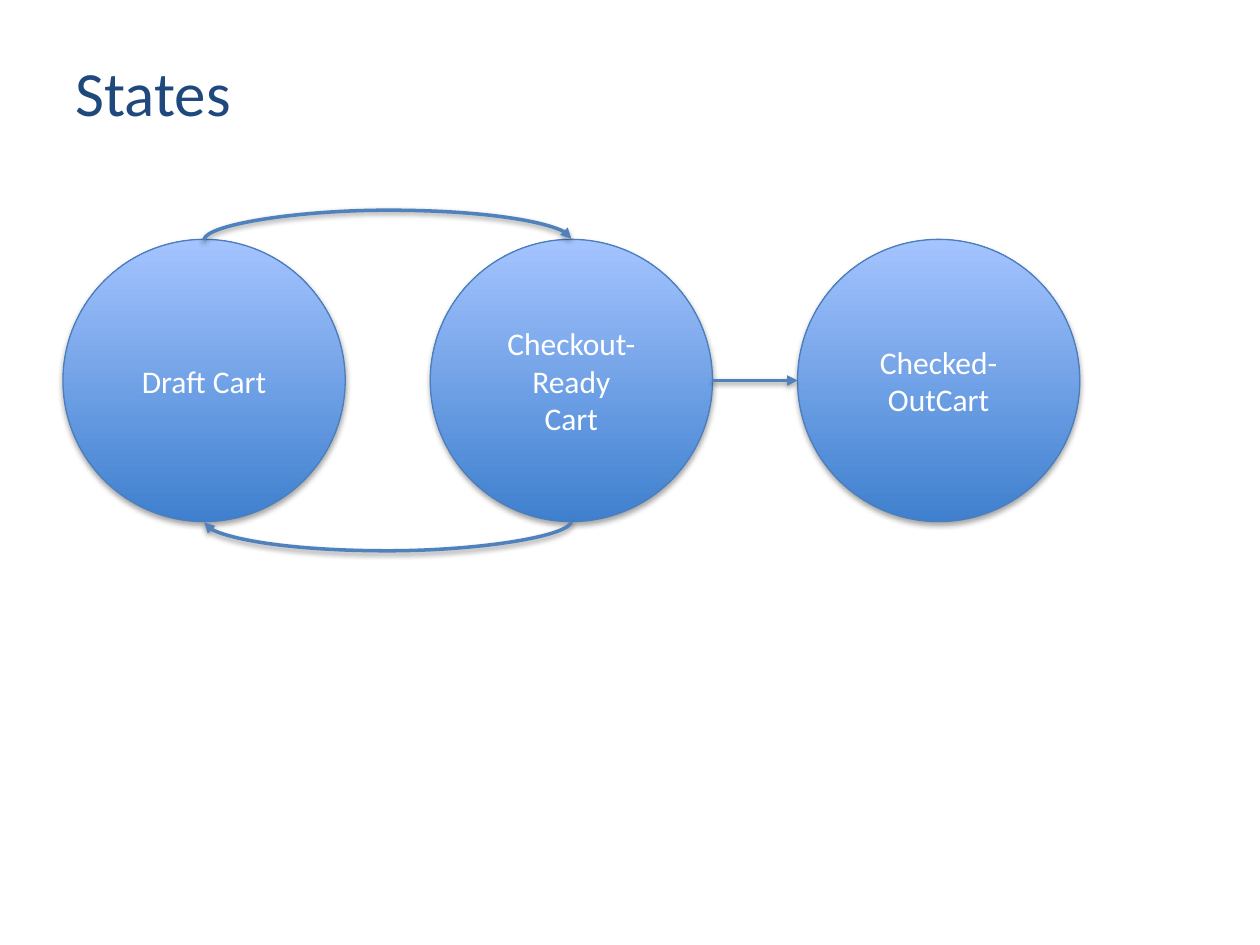
import pptx
import pptx.dml.color
import pptx.enum.shapes
import pptx.enum.text
import pptx.oxml
import pptx.oxml.ns
import pptx.util
from lxml import etree

Inches = pptx.util.Inches
Pt = pptx.util.Pt
RGBColor = pptx.dml.color.RGBColor
Kind = pptx.enum.shapes.MSO_CONNECTOR
qn = pptx.oxml.ns.qn

NAVY = RGBColor(0x1F, 0x49, 0x7D)
DEEP = RGBColor(0x3F, 0x80, 0xCE)
PALE = RGBColor(0xA4, 0xC4, 0xFF)
EDGE = RGBColor(0x4B, 0x7E, 0xBC)
BLUE = RGBColor(0x4F, 0x81, 0xBD)
WHITE = RGBColor(0xFF, 0xFF, 0xFF)

FONT = "Calibri"
STATES = [["Draft Cart"], ["Checkout-Ready", "Cart"], ["Checked-OutCart"]]
LEFT, TOP, SIZE, STEP = 0.5, 1.9, 2.24, 2.915
THIN, BEND = 0.01, 24
NORTH, WEST, SOUTH, EAST = 0, 2, 4, 6


def add_run(para, text, size, color):
    """Add one styled run to a paragraph."""
    run = para.add_run()
    run.text = text
    run.font.name = FONT
    run.font.size = Pt(size)
    run.font.color.rgb = color


def add_shade(shape, drop, alpha):
    """Give a shape a soft shadow straight below it."""
    props = shape._element.spPr
    for old in props.findall(qn("a:effectLst")):
        props.remove(old)
    props.append(pptx.oxml.parse_xml(
        f'<a:effectLst {pptx.oxml.ns.nsdecls("a")}>'
        f'<a:outerShdw blurRad="{Pt(3.1)}" dist="{Pt(drop)}" dir="5400000" rotWithShape="0">'
        f'<a:srgbClr val="000000"><a:alpha val="{alpha * 1000}"/></a:srgbClr>'
        '</a:outerShdw></a:effectLst>'))


def add_title(slide, left, top, width, height):
    """Place and style the slide title."""
    title = slide.shapes.title
    title.left, title.top = Inches(left), Inches(top)
    title.width, title.height = Inches(width), Inches(height)
    title.text_frame.vertical_anchor = pptx.enum.text.MSO_ANCHOR.MIDDLE
    para = title.text_frame.paragraphs[0]
    para.alignment = pptx.enum.text.PP_ALIGN.LEFT
    add_run(para, "States", 36, NAVY)


def add_state(slide, left, top, size, lines):
    """Draw one state as a shaded circle with a label."""
    state = slide.shapes.add_shape(
        pptx.enum.shapes.MSO_SHAPE.OVAL,
        Inches(left), Inches(top), Inches(size), Inches(size))
    state.fill.gradient()
    state.fill.gradient_angle = 90
    for stop, color in zip(state.fill.gradient_stops, (DEEP, PALE)):
        stop.color.rgb = color
    state.line.color.rgb = EDGE
    state.line.width = Pt(0.75)
    add_shade(state, 1.8, 35)
    frame = state.text_frame
    frame.word_wrap = True
    frame.vertical_anchor = pptx.enum.text.MSO_ANCHOR.MIDDLE
    para = frame.paragraphs[0]
    para.alignment = pptx.enum.text.PP_ALIGN.CENTER
    for row, line in enumerate(lines):
        if row:
            para.add_line_break()
        add_run(para, line, 18, WHITE)
    return state


def add_link(slide, kind, start, end, ties):
    """Draw an arrow from start to end, tied to sites on two states."""
    link = slide.shapes.add_connector(kind, *map(Inches, start + end))
    link.line.color.rgb = BLUE
    link.line.width = Pt(2)
    etree.SubElement(link.line._get_or_add_ln(), qn("a:tailEnd"), type="triangle")
    add_shade(link, 1.6, 38)
    joins = link._element.xpath("./p:nvCxnSpPr/p:cNvCxnSpPr")[0]
    for tag, (state, site) in zip(("a:stCxn", "a:endCxn"), ties):
        etree.SubElement(joins, qn(tag), id=str(state.shape_id), idx=str(site))
    return link


def add_arc(slide, mid, level, span, way, ties):
    """Draw a bowed arrow about a middle point; way is 1 for left, -1 for right."""
    dx, dy = way * THIN / 2, way * span / 2
    link = add_link(slide, Kind.CURVE, (mid - dx, level - dy), (mid + dx, level + dy), ties)
    link._element.spPr.find(qn("a:xfrm")).set("rot", "5400000")
    guides = link._element.xpath("./p:spPr/a:prstGeom/a:avLst")[0]
    etree.SubElement(guides, qn("a:gd"), name="adj1", fmla=f"val {BEND * 100000}")


def add_flow(slide, left, top, size, step):
    """Lay out the states in a row and link them."""
    draft, ready, done = [
        add_state(slide, left + i * step, top, size, lines)
        for i, lines in enumerate(STATES)]
    mid = left + (size + step) / 2
    add_arc(slide, mid, top, step, -1, [(draft, NORTH), (ready, NORTH)])
    add_arc(slide, mid, top + size, step, 1, [(ready, SOUTH), (draft, SOUTH)])
    level = top + size / 2
    add_link(slide, Kind.STRAIGHT, (left + step + size, level),
             (left + 2 * step, level), [(ready, EAST), (done, WEST)])


def main():
    """Build and save the slide."""
    deck = pptx.Presentation()
    deck.slide_width, deck.slide_height = Inches(10), Inches(7.5)
    slide = deck.slides.add_slide(deck.slide_layouts[5])
    add_title(slide, 0.5, 0.3, 9, 0.85)
    add_flow(slide, LEFT, TOP, SIZE, STEP)
    deck.save("out.pptx")


if __name__ == "__main__":
    main()
